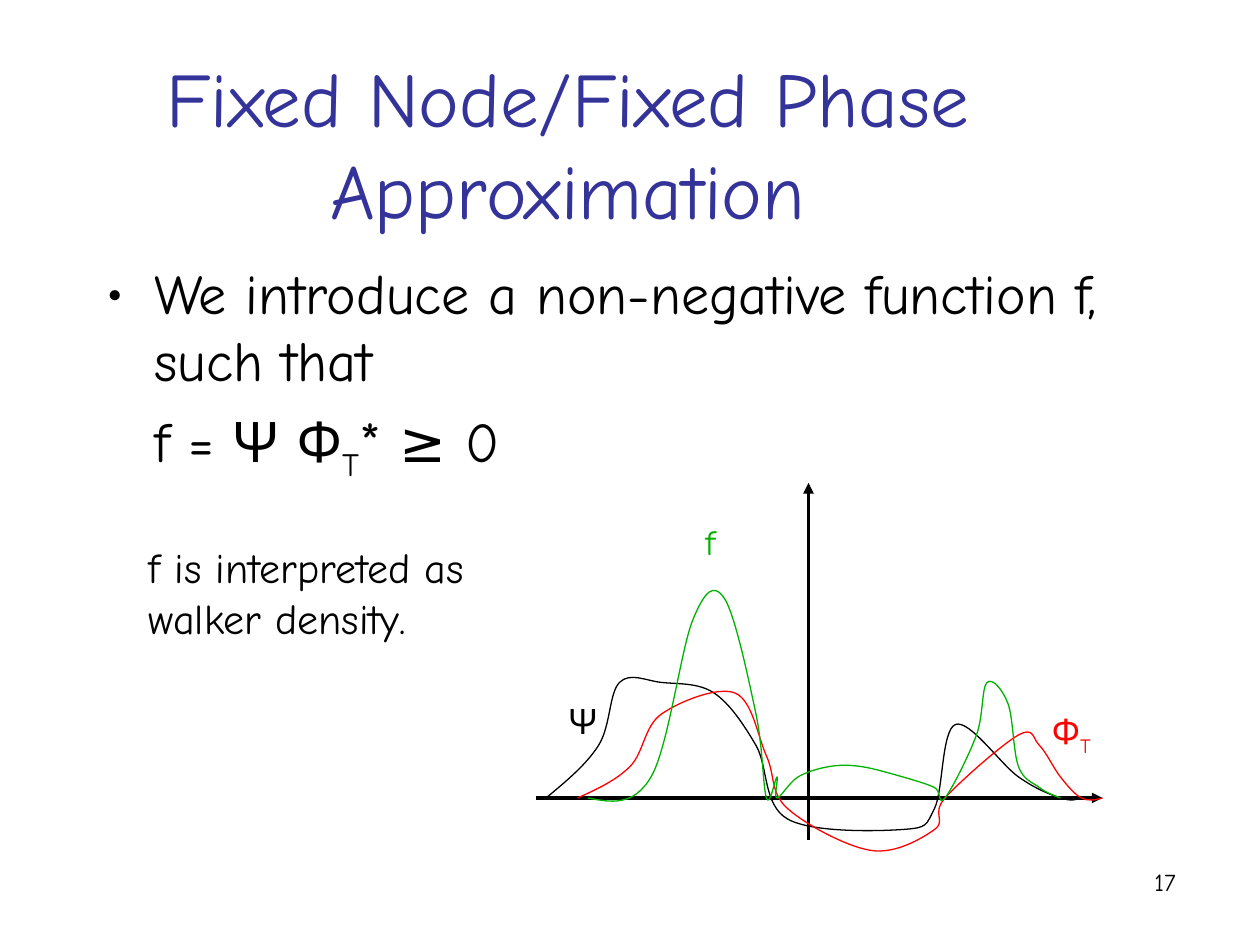
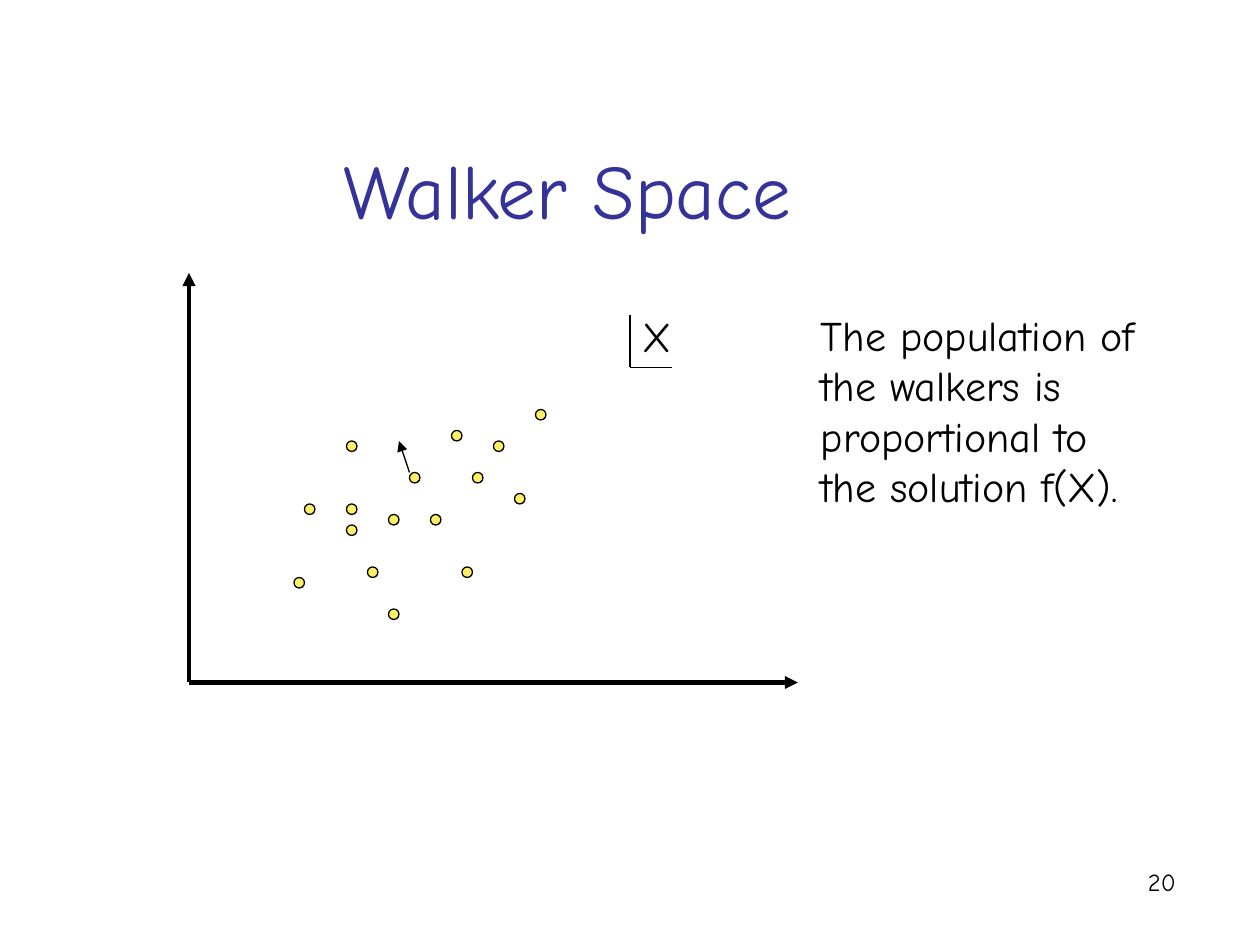
"""Build two slides on the fixed-node approximation and the walker space."""
from dataclasses import dataclass

import pptx
import pptx.dml.color
import pptx.enum.shapes
import pptx.enum.text
import pptx.oxml
import pptx.oxml.ns
import pptx.util

Pt = pptx.util.Pt
ALIGN = pptx.enum.text.PP_ALIGN
ANCHOR = pptx.enum.text.MSO_ANCHOR

FONT = "Comic Neue"
BLACK, BLUE, RED, GREEN, YELLOW = "000000", "333399", "FF0000", "00B200", "FFEF66"
GRID = 6
THIN = 0.75
INDENT = 27

Point = tuple[float, float]


@dataclass
class Label:
    """A text box, placed in points."""
    text: str
    left: float
    top: float
    width: float
    height: float
    size: float = 24
    color: str = BLACK
    align: ALIGN = ALIGN.LEFT


@dataclass
class Line:
    """A straight line between two grid points."""
    start: Point
    end: Point
    width: float = THIN
    arrow: bool = True


@dataclass
class Curve:
    """A smooth curve through grid points."""
    color: str
    points: list[Point]


FUNCTION_AXES = [Line((51, 76), (105, 76), 2), Line((77, 80), (77, 46), 2)]
CURVES = [
    Curve(BLACK, [(52, 76), (57, 71), (59, 65), (63, 65), (68, 66), (72, 71), (75, 78),
                  (86, 79), (89, 77), (91, 69), (97, 74), (101, 76), (103, 76)]),
    Curve(RED, [(55, 76), (60, 73), (63, 68), (70, 66), (73, 72), (75, 77), (83, 81),
                (89, 79), (90, 76), (97, 70), (99, 71), (101, 74), (103, 76), (105, 76)]),
    Curve(GREEN, [(56, 76), (62, 74), (66, 59), (69, 57), (72, 68), (73, 76), (74, 74),
                  (74, 76), (76, 74), (79, 73), (82, 73), (86, 74), (89, 75), (90, 76),
                  (93, 70), (94, 65), (96, 67), (97, 73), (99, 75), (101, 76)]),
]
FUNCTION_LABELS = [
    Label("Ψ", 318, 396, 36, 32, 20),
    Label("Φ_T", 594, 402, 48, 34, 20, RED),
    Label("f", 396, 294, 36, 32, 20, GREEN),
    Label("f is interpreted as walker density.", 78, 306, 198, 65),
]

SPACE_AXES = [Line((18, 65), (76, 65), 2.5), Line((18, 65), (18, 26), 2.5)]
WALKERS = [(29, 48), (37, 49), (33, 42), (35, 54), (37, 58), (39, 45), (41, 49), (43, 41),
           (45, 45), (47, 42), (49, 47), (51, 39), (33, 50), (33, 48), (44, 54), (28, 55)]
SPACE_LABELS = [
    Label("X", 360, 174, 66, 36),
    Label("The population of the walkers is proportional to the solution f(X).",
          462, 173.25, 198, 122),
]
X_CORNER = [Line((60, 35), (64, 35), arrow=False), Line((60, 30), (60, 35), arrow=False)]
WALKER_MOVE = Line((39, 45), (38, 42))


def rgb(color: str) -> pptx.dml.color.RGBColor:
    """Turn a hex string into a colour."""
    return pptx.dml.color.RGBColor.from_string(color)


def add_xml(parent, tag: str, **attributes: str):
    """Append a drawing element to the parent and return it."""
    sub = pptx.oxml.parse_xml(f"<a:{tag} {pptx.oxml.ns.nsdecls('a')}/>")
    for name, value in attributes.items():
        sub.set(name, value)
    parent.append(sub)
    return sub


def write(p, text: str, *, size: float, color: str = BLACK, align: ALIGN = ALIGN.LEFT,
          before: float = 0, indent: float = 0, bullet: str = "") -> None:
    """Fill a paragraph; underscores switch subscript on and off."""
    p.alignment = align
    p.space_before = Pt(before)
    if indent:
        pPr = p._p.get_or_add_pPr()
        pPr.set("marL", str(Pt(indent)))
        pPr.set("indent", str(-Pt(indent) if bullet else 0))
        if bullet:
            add_xml(pPr, "buFont", typeface=FONT)
            add_xml(pPr, "buChar", char=bullet)
        else:
            add_xml(pPr, "buNone")
    for i, part in enumerate(text.split("_")):
        r = p.add_run()
        r.text = part
        r.font.name = FONT
        r.font.size = Pt(size)
        r.font.color.rgb = rgb(color)
        if i % 2:
            r._r.get_or_add_rPr().set("baseline", "-25000")


def place(sp, left: float, top: float, width: float, height: float):
    """Position a text shape and return its wrapped text frame."""
    sp.left, sp.top, sp.width, sp.height = map(Pt, (left, top, width, height))
    tf = sp.text_frame
    tf.word_wrap = True
    tf.auto_size = pptx.enum.text.MSO_AUTO_SIZE.NONE
    tf.margin_left = tf.margin_right = Pt(7.2)
    tf.margin_top = tf.margin_bottom = Pt(3.6)
    return tf


def add_box(slide, left: float, top: float, width: float, height: float):
    """Add a text box and return its text frame."""
    sp = slide.shapes.add_textbox(0, 0, 0, 0)
    return place(sp, left, top, width, height)


def add_label(slide, label: Label) -> None:
    """Draw a label."""
    tf = add_box(slide, label.left, label.top, label.width, label.height)
    write(tf.paragraphs[0], label.text, size=label.size, color=label.color, align=label.align)


def add_line(slide, line: Line) -> None:
    """Draw a straight line, with an arrowhead if wanted."""
    ends = [Pt(GRID * v) for v in (*line.start, *line.end)]
    sp = slide.shapes.add_connector(pptx.enum.shapes.MSO_CONNECTOR.STRAIGHT, *ends)
    sp.line.color.rgb = rgb(BLACK)
    sp.line.width = Pt(line.width)
    if line.arrow:
        add_xml(sp.line._get_or_add_ln(), "tailEnd", type="triangle")
    add_xml(sp._element.spPr, "effectLst")


def bezier_points(points: list[Point]) -> list[Point]:
    """List two control points and an end point for each span of a Catmull-Rom curve."""
    padded = [points[0], *points, points[-1]]
    result = []
    for a, b, c, d in zip(padded, padded[1:], padded[2:], padded[3:]):
        out = [q + (r - p) / 6 for p, q, r in zip(a, b, c)]
        into = [r - (s - q) / 6 for q, r, s in zip(b, c, d)]
        if b == points[0]:
            out = [(q + v) / 2 for q, v in zip(b, into)]
        if c == points[-1]:
            into = [(r + v) / 2 for r, v in zip(c, out)]
        result += [out, into, c]
    return result


def add_curve(slide, curve: Curve) -> None:
    """Draw a smooth open curve of cubic spans."""
    start, *rest = [(Pt(GRID * x), Pt(GRID * y))
                    for x, y in [curve.points[0], *bezier_points(curve.points)]]
    builder = slide.shapes.build_freeform(*start)
    builder.add_line_segments(rest, close=False)
    sp = builder.convert_to_shape()
    segments = sp._element.xpath(".//a:lnTo")
    outline = segments[0].getparent()
    for i in range(0, len(segments), 3):
        span = add_xml(outline, "cubicBezTo")
        for segment in segments[i:i + 3]:
            span.append(segment[0])
            outline.remove(segment)
    sp.shadow.inherit = False
    sp.fill.background()
    sp.line.color.rgb = rgb(curve.color)
    sp.line.width = Pt(THIN)


def add_walker(slide, x: float, y: float) -> None:
    """Draw a walker as a dot that fills one grid cell."""
    sp = slide.shapes.add_shape(pptx.enum.shapes.MSO_SHAPE.OVAL,
                                Pt(GRID * x), Pt(GRID * y), Pt(GRID), Pt(GRID))
    sp.shadow.inherit = False
    sp.fill.solid()
    sp.fill.fore_color.rgb = rgb(YELLOW)
    sp.line.color.rgb = rgb(BLACK)
    sp.line.width = Pt(THIN)


def add_slide(prs, title: str, number: int):
    """Add a slide with its title and page number."""
    slide = prs.slides.add_slide(prs.slide_layouts[5])
    tf = place(slide.shapes.title, 54, 12, 541, 126)
    tf.vertical_anchor = ANCHOR.BOTTOM
    write(tf.paragraphs[0], title, size=44, color=BLUE, align=ALIGN.CENTER)
    add_label(slide, Label(str(number), 529, 492, 150, 36, 14, align=ALIGN.RIGHT))
    return slide


def build_fixed_node(prs) -> None:
    """Build the slide that introduces the function f."""
    slide = add_slide(prs, "Fixed Node/Fixed Phase Approximation", 17)
    tf = add_box(slide, 54, 144, 606, 288)
    write(tf.paragraphs[0], "We introduce a non-negative function f, such that",
          size=32, indent=INDENT, bullet="•")
    write(tf.add_paragraph(), "f = Ψ Φ_T_* ≥ 0", size=32, before=8, indent=INDENT)
    for axis in FUNCTION_AXES:
        add_line(slide, axis)
    for curve in CURVES:
        add_curve(slide, curve)
    for label in FUNCTION_LABELS:
        add_label(slide, label)


def build_walker_space(prs) -> None:
    """Build the slide that shows the walkers."""
    slide = add_slide(prs, "Walker Space", 20)
    for axis in SPACE_AXES:
        add_line(slide, axis)
    for x, y in WALKERS:
        add_walker(slide, x, y)
    for label in SPACE_LABELS:
        add_label(slide, label)
    for line in [*X_CORNER, WALKER_MOVE]:
        add_line(slide, line)


def main() -> None:
    """Build and save the presentation."""
    prs = pptx.Presentation()
    prs.slide_width, prs.slide_height = Pt(720), Pt(540)
    build_fixed_node(prs)
    build_walker_space(prs)
    prs.save("out.pptx")


if __name__ == "__main__":
    main()
